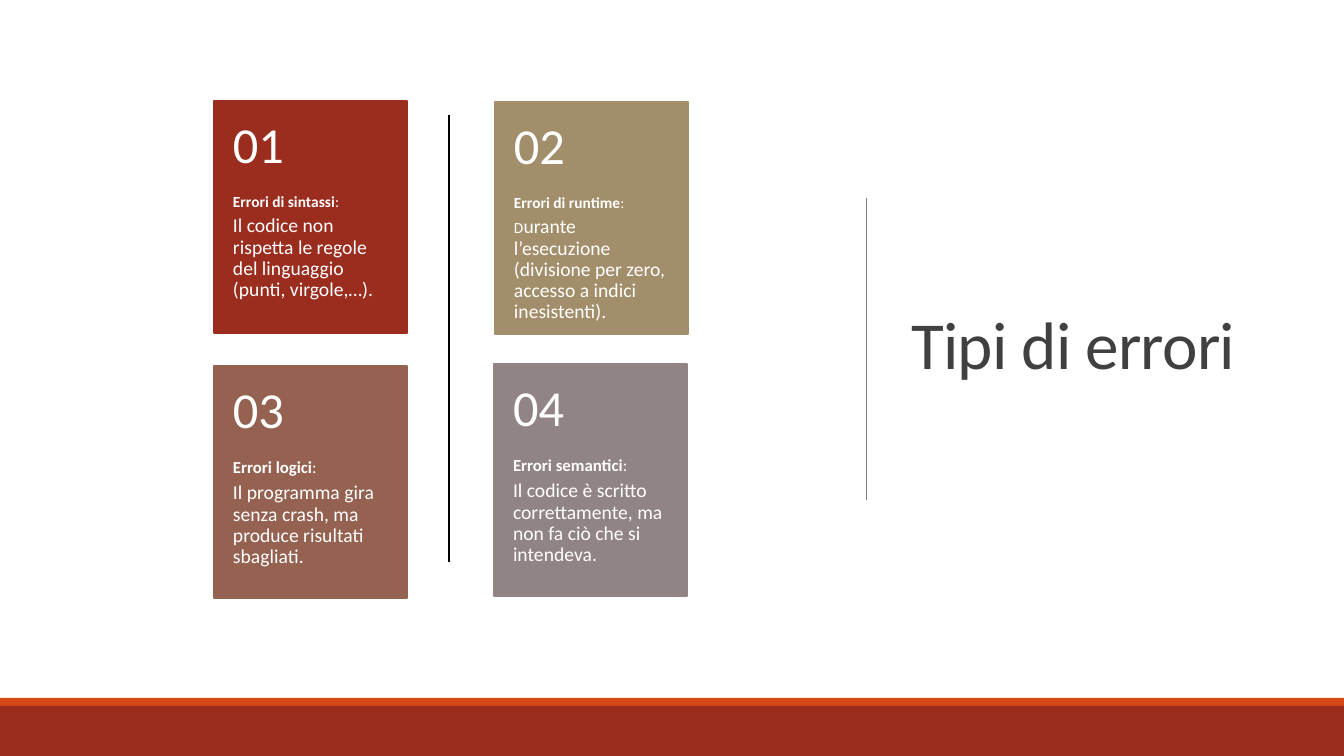
import pptx
import pptx.util
import pptx.dml.color
import pptx.enum.shapes
import pptx.enum.text
import pptx.oxml.ns
import lxml.etree

COLORS = {
    "white": "FFFFFF", "title": "404040", "rule": "808080", "black": "000000",
    "orange": "D34817", "red": "9B2D1F", "sand": "A28E6A",
    "brown": "956251", "mauve": "918485",
}
TITLE = "Tipi di errori"
CARDS = [
    ("01", 214, 101, "red", 11, "Errori di sintassi", "",
     "Il codice non rispetta le regole del linguaggio (punti, virgole,…)."),
    ("02", 495, 102, "sand", 11, "Errori di runtime", "D",
     "urante l’esecuzione (divisione per zero, accesso a indici inesistenti)."),
    ("03", 214, 366, "brown", 12, "Errori logici", "",
     "Il programma gira senza crash, ma produce risultati sbagliati."),
    ("04", 494, 364, "mauve", 12, "Errori semantici", "",
     "Il codice è scritto correttamente, ma non fa ciò che si intendeva."),
]
RULES = [(866, 198, 500, "rule", 0.5), (449, 115, 562, "black", 1)]
BANDS = [(698, 8, "orange"), (706, 50, "red")]
WIDTH, HEIGHT = 1344, 756
CARD_WIDTH, CARD_HEIGHT, NUMBER_HEIGHT = 193, 232, 93
SIDE, NUMBER_INSET, BODY_BOTTOM = 19, 18, 36
SCALE = 914400 / 100.8


def px(length):
    return round(length * SCALE)


def color(name):
    return pptx.dml.color.RGBColor.from_string(COLORS[name])


def add_span(para, text, size, fill="white", bold=False, spacing=None):
    span = para.add_run()
    span.text = text
    span.font.name = "Calibri"
    span.font.size = pptx.util.Pt(size)
    span.font.bold = bold
    span.font.color.rgb = color(fill)
    if spacing is not None:
        span.font._element.set("spc", str(spacing))


def format_para(para, line=0.9, after=0):
    para.alignment = pptx.enum.text.PP_ALIGN.LEFT
    para.line_spacing = line
    para.space_before = pptx.util.Pt(0)
    para.space_after = pptx.util.Pt(after)


def add_block(page, left, top, width, height, fill, outline=None):
    block = page.shapes.add_shape(
        pptx.enum.shapes.MSO_SHAPE.RECTANGLE, px(left), px(top), px(width), px(height))
    block.shadow.inherit = False
    block.fill.solid()
    block.fill.fore_color.rgb = color(fill)
    if outline:
        block.line.color.rgb = color(fill)
        block.line.width = pptx.util.Pt(outline)
    else:
        block.line.fill.background()


def add_text_frame(page, left, top, height, inset_top, inset_bottom, anchor):
    frame = page.shapes.add_textbox(px(left), px(top), px(CARD_WIDTH), px(height)).text_frame
    frame.word_wrap = True
    frame.margin_left = frame.margin_right = px(SIDE)
    frame.margin_top, frame.margin_bottom = px(inset_top), px(inset_bottom)
    frame.vertical_anchor = anchor
    return frame


def add_card(page, number, left, top, fill, small, heading, initial, body):
    anchors = pptx.enum.text.MSO_ANCHOR
    add_block(page, left, top, CARD_WIDTH, CARD_HEIGHT, fill, outline=1.25)
    frame = add_text_frame(page, left, top + NUMBER_HEIGHT, CARD_HEIGHT - NUMBER_HEIGHT,
                           0, BODY_BOTTOM, anchors.TOP)
    para = frame.paragraphs[0]
    format_para(para, after=small * 0.35)
    add_span(para, heading, small, bold=True)
    add_span(para, ":", small)
    para = frame.add_paragraph()
    format_para(para)
    if initial:
        add_span(para, initial, small)
    add_span(para, body, 14)
    frame = add_text_frame(page, left, top, NUMBER_HEIGHT,
                           NUMBER_INSET, NUMBER_INSET, anchors.MIDDLE)
    format_para(frame.paragraphs[0])
    add_span(frame.paragraphs[0], number, 36)


def add_rule(page, x, top, bottom, fill, width):
    rule = page.shapes.add_connector(
        pptx.enum.shapes.MSO_CONNECTOR.STRAIGHT, px(x), px(top), px(x), px(bottom))
    rule.line.color.rgb = color(fill)
    rule.line.width = pptx.util.Pt(width)
    lxml.etree.SubElement(rule._element.spPr, pptx.oxml.ns.qn("a:effectLst"))


def add_title(page):
    title = page.shapes.title
    title.left, title.top, title.width, title.height = px(901), px(70), px(372), px(557)
    frame = title.text_frame
    frame.word_wrap = True
    frame.auto_size = pptx.enum.text.MSO_AUTO_SIZE.NONE
    frame.vertical_anchor = pptx.enum.text.MSO_ANCHOR.MIDDLE
    format_para(frame.paragraphs[0], line=0.85)
    add_span(frame.paragraphs[0], TITLE, 48, fill="title", spacing=-50)


def main():
    deck = pptx.Presentation()
    deck.slide_width, deck.slide_height = px(WIDTH), px(HEIGHT)
    page = deck.slides.add_slide(deck.slide_layouts[5])
    add_title(page)
    for top, height, fill in BANDS:
        add_block(page, 0, top, WIDTH, height, fill)
    for card in CARDS:
        add_card(page, *card)
    for rule in RULES:
        add_rule(page, *rule)
    deck.save("out.pptx")


if __name__ == "__main__":
    main()
